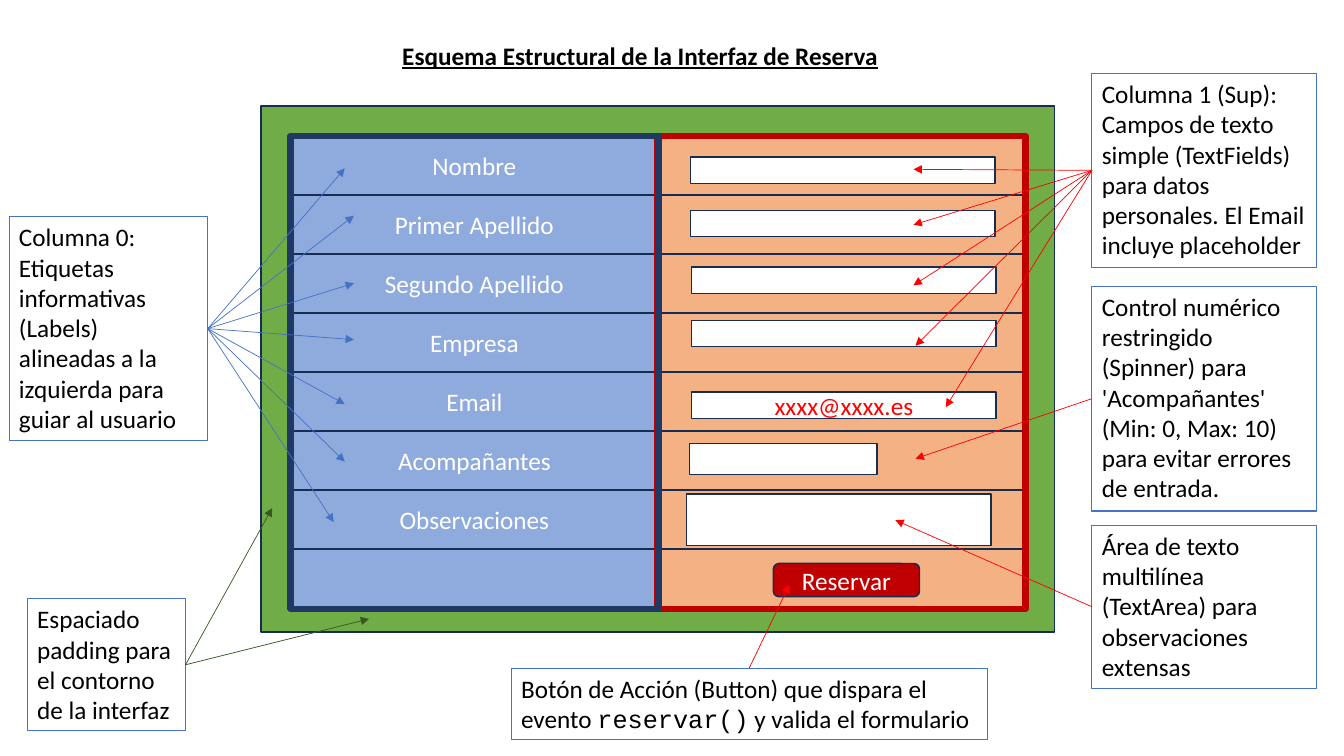
import pptx
import pptx.util
import pptx.dml.color
import pptx.enum.shapes
import pptx.enum.text
import pptx.oxml
import pptx.oxml.ns

Inches, Pt = pptx.util.Inches, pptx.util.Pt
SHAPE = pptx.enum.shapes.MSO_SHAPE
ALIGN = pptx.enum.text.PP_ALIGN
ANCHOR = pptx.enum.text.MSO_ANCHOR
TOP, LEFT, RIGHT = 0, 1, 3  # connection sites of a rectangle

# Content
COLORS = dict(green="70AD47", blue="8FAADC", orange="F4B183", crimson="C00000",
              navy="203864", outline="172C51", note="4472C4", forest="385723",
              red="FF0000", white="FFFFFF", black="000000")
TITLE = "Esquema Estructural de la Interfaz de Reserva"
LABELS = ["Nombre", "Primer Apellido", "Segundo Apellido", "Empresa", "Email",
          "Acompañantes", "Observaciones", ""]
FIELDS = [  # left, top, width, height, text
    (6.85, 1.56, 3.02, 0.26, ""),
    (6.85, 2.09, 3.02, 0.26, ""),
    (6.86, 2.65, 3.02, 0.26, ""),
    (6.86, 3.18, 3.02, 0.26, ""),
    (6.86, 3.89, 3.02, 0.26, "xxxx@xxxx.es"),
    (6.84, 4.4, 1.86, 0.31, ""),
    (6.81, 4.9, 3.02, 0.51, ""),
]
NOTES = [  # box, text runs, side the arrows leave from, arrow colour, arrow tips
    ((0.09, 2.15, 1.97, 2.22),
     ["Columna 0: Etiquetas informativas (Labels) alineadas a la izquierda "
      "para guiar al usuario"], RIGHT, "note",
     [(3.42, 1.67), (3.51, 2.14), (3.51, 2.81), (3.51, 3.37), (3.42, 4.01),
      (3.42, 4.58), (3.31, 5.18)]),
    ((10.83, 0.73, 2.23, 1.92),
     ["Columna 1 (Sup): Campos de texto simple (TextFields) para datos "
      "personales. El Email incluye placeholder"], LEFT, "red",
     [(9.06, 1.68), (9.06, 2.23), (9.06, 2.83), (9.08, 3.43), (9.38, 4.04)]),
    ((10.83, 2.84, 2.23, 2.23),
     ["Control numérico restringido (Spinner) para 'Acompañantes' "
      "(Min: 0, Max: 10) para evitar errores de entrada."], LEFT, "red",
     [(9.08, 4.55)]),
    ((10.83, 5.21, 2.23, 1.62),
     ["Área de texto multilínea (TextArea) para observaciones extensas"],
     LEFT, "red", [(8.88, 5.16)]),
    ((5.07, 6.63, 4.72, 0.71),
     ["Botón de Acción (Button) que dispara el evento ", "reservar()",
      " y valida el formulario"], TOP, "red", [(7.83, 5.8)]),
    ((0.27, 5.94, 1.57, 1.31),
     ["Espaciado padding para el contorno de la interfaz"], RIGHT, "forest",
     [(2.7, 5.04), (3.66, 6.14)]),
]
GRID_TOP, ROW_PITCH, ROW_H, COL_W = 1.35, 0.585, 0.59, 3.65
GRID_H = 4.69
COLUMNS = [(2.88, "blue", LABELS), (6.52, "orange", [""] * len(LABELS))]


def rgb(name):
    return pptx.dml.color.RGBColor.from_string(COLORS[name])


def style_run(r, color, font="Calibri"):
    r.font.size, r.font.name = Pt(18), font
    r.font.color.rgb = rgb(color)


def add_box(s, box, fill=None, line="outline", weight=1, text="",
            color="white", kind=SHAPE.RECTANGLE):
    sp = s.shapes.add_shape(kind, *map(Inches, box))
    sp.shadow.inherit = False
    if fill:
        sp.fill.solid()
        sp.fill.fore_color.rgb = rgb(fill)
    else:
        sp.fill.background()
    sp.line.color.rgb, sp.line.width = rgb(line), Pt(weight)
    if text:
        tf = sp.text_frame
        tf.text = text
        tf.vertical_anchor = ANCHOR.MIDDLE
        tf.paragraphs[0].alignment = ALIGN.CENTER
        style_run(tf.paragraphs[0].runs[0], color)
    return sp


def add_note(s, box, parts):
    sp = add_box(s, box, line="note", weight=0.75)
    tf = sp.text_frame
    tf.word_wrap, tf.vertical_anchor = True, ANCHOR.TOP
    p = tf.paragraphs[0]
    p.alignment = ALIGN.LEFT
    for part in parts:
        r = p.add_run()
        r.text = part
        style_run(r, "black", "Courier New" if part.endswith("()") else "Calibri")
    return sp


def add_arrow(s, note, side, tip, color):
    x, y = map(Inches, tip)
    cx = s.shapes.add_connector(pptx.enum.shapes.MSO_CONNECTOR.STRAIGHT, x, y, x, y)
    cx.begin_connect(note, side)
    cx.line.color.rgb, cx.line.width = rgb(color), Pt(0.5)
    ns = pptx.oxml.ns.nsdecls("a")
    cx.line._get_or_add_ln().append(
        pptx.oxml.parse_xml(f'<a:tailEnd {ns} type="triangle"/>'))
    cx._element.spPr.append(pptx.oxml.parse_xml(f"<a:effectLst {ns}/>"))


def main():
    prs = pptx.Presentation()
    prs.slide_width, prs.slide_height = Inches(13.33), Inches(7.5)
    s = prs.slides.add_slide(prs.slide_layouts[5])

    # Title
    title = s.shapes.title
    title.left, title.top, title.width, title.height = map(
        Inches, (3.87, 0.35, 4.96, 0.4))
    tf = title.text_frame
    tf.text = TITLE
    tf.word_wrap, tf.vertical_anchor = False, ANCHOR.MIDDLE
    tf.auto_size = pptx.enum.text.MSO_AUTO_SIZE.NONE
    tf.paragraphs[0].alignment = ALIGN.CENTER
    r = tf.paragraphs[0].runs[0]
    style_run(r, "black")
    r.font.bold = r.font.underline = True

    # Form background and its two columns of cells
    add_box(s, (2.59, 1.05, 7.87, 5.22), "green")
    for left, fill, texts in COLUMNS:
        for i, text in enumerate(texts):
            add_box(s, (left, GRID_TOP + i * ROW_PITCH, COL_W, ROW_H), fill, text=text)

    # Column frames, the label frame on top
    for (left, _, _), line in zip(reversed(COLUMNS), ("crimson", "navy")):
        add_box(s, (left, GRID_TOP, COL_W, GRID_H), line=line, weight=4.5)

    # Input fields and button
    for *box, text in FIELDS:
        add_box(s, box, "white", text=text, color="red")
    add_box(s, (7.67, 5.59, 1.45, 0.33), "crimson", text="Reservar",
            kind=SHAPE.ROUNDED_RECTANGLE)

    # Notes with their arrows
    for box, parts, side, color, tips in NOTES:
        note = add_note(s, box, parts)
        for tip in tips:
            add_arrow(s, note, side, tip, color)

    prs.save("out.pptx")


if __name__ == "__main__":
    main()
